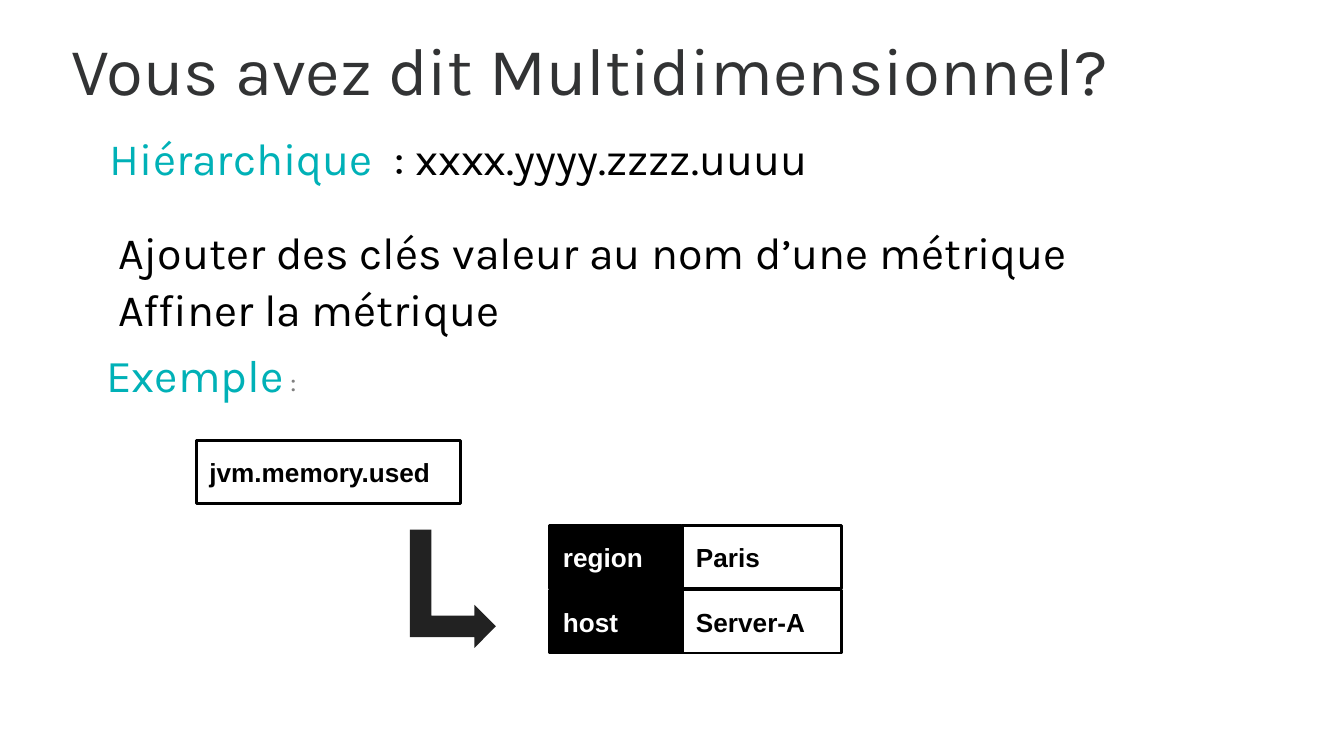
import dataclasses
import typing

import pptx
import pptx.dml.color
import pptx.enum.shapes
import pptx.enum.text
import pptx.slide
import pptx.util

Inches = pptx.util.Inches
Pt = pptx.util.Pt

COLORS = {
    "title": "323334",
    "accent": "00B1B7",
    "black": "000000",
    "white": "FFFFFF",
    "grey": "808080",
    "arrow": "222222",
}


@dataclasses.dataclass
class Run:
    text: str
    size: float
    color: str
    font: str = "Karla"
    bold: bool = False


@dataclasses.dataclass
class TextBlock:
    left: float
    top: float
    width: float
    height: float
    paragraphs: list[list[Run]]
    format: dict[str, typing.Any] = dataclasses.field(default_factory=dict)
    margin_left: float = 0


@dataclasses.dataclass
class Tile:
    text: str
    left: float
    top: float
    width: float
    fill: str
    color: str


def rgb(name: str) -> pptx.dml.color.RGBColor:
    return pptx.dml.color.RGBColor.from_string(COLORS[name])


def add_run(paragraph: typing.Any, item: Run) -> None:
    run = paragraph.add_run()
    run.text = item.text
    values = {"name": item.font, "size": Pt(item.size), "bold": item.bold}
    for name, value in values.items():
        setattr(run.font, name, value)
    run.font.color.rgb = rgb(item.color)


def add_text(slide: pptx.slide.Slide, block: TextBlock) -> None:
    shape = slide.shapes.add_textbox(
        Inches(block.left), Inches(block.top), Inches(block.width), Inches(block.height)
    )
    frame = shape.text_frame
    frame.word_wrap = True
    frame.margin_left = Inches(0.1 + block.margin_left)
    for index, runs in enumerate(block.paragraphs):
        paragraph = frame.add_paragraph() if index else frame.paragraphs[0]
        if index:
            paragraph.space_before = Pt(2)
        for name, value in block.format.items():
            setattr(paragraph, name, value)
        for item in runs:
            add_run(paragraph, item)


def add_tile(slide: pptx.slide.Slide, tile: Tile) -> None:
    shape = slide.shapes.add_shape(
        pptx.enum.shapes.MSO_SHAPE.RECTANGLE,
        Inches(tile.left), Inches(tile.top), Inches(tile.width), Inches(0.47),
    )
    shape.shadow.inherit = False
    shape.fill.solid()
    shape.fill.fore_color.rgb = rgb(tile.fill)
    shape.line.color.rgb = rgb("black")
    shape.line.width = Pt(1.5)
    frame = shape.text_frame
    frame_format = {
        "word_wrap": True,
        "vertical_anchor": pptx.enum.text.MSO_ANCHOR.MIDDLE,
        "margin_left": Inches(0.1),
        "margin_right": Inches(0.1),
        "margin_top": Inches(0.1),
        "margin_bottom": Inches(0.1),
    }
    for name, value in frame_format.items():
        setattr(frame, name, value)
    paragraph = frame.paragraphs[0]
    paragraph.alignment = pptx.enum.text.PP_ALIGN.LEFT
    add_run(paragraph, Run(tile.text, 14, tile.color, "Arial", True))


def add_arrow(slide: pptx.slide.Slide) -> None:
    arrow = slide.shapes.add_shape(
        pptx.enum.shapes.MSO_SHAPE.BENT_UP_ARROW,
        Inches(2.93), Inches(4.06), Inches(0.88), Inches(0.64),
    )
    arrow.rotation = 90
    arrow.shadow.inherit = False
    arrow.fill.solid()
    arrow.fill.fore_color.rgb = rgb("arrow")
    arrow.line.fill.background()


TEXT_BLOCKS = [
    # Title
    TextBlock(0.43, 0.16, 8.98, 0.54,
              [[Run("Vous avez dit Multidimensionnel?", 36, "title")]]),
    # Hierarchical naming
    TextBlock(0.64, 0.92, 7.32, 0.55,
              [[Run(" Hiérarchique", 24, "accent"),
                Run("  : xxxx.yyyy.zzzz.uuuu", 24, "black")]]),
    # What dimensions bring
    TextBlock(0.78, 1.62, 7.32, 0.55,
              [[Run("Ajouter des clés valeur au nom d’une métrique", 24, "black")],
               [Run("Affiner la métrique", 24, "black")]]),
    # Example heading
    TextBlock(0.35, 2.61, 2.6, 0.43,
              [[Run(" ", 15, "grey"), Run("Exemple", 24.4, "accent"),
                Run(" :", 15, "grey")]],
              {"line_spacing": 0.8}, 0.29),
]

TAGS = [("region", "Paris"), ("host", "Server-A")]
TAG_TOP, TAG_PITCH = 3.91, 0.48


def main() -> None:
    # Widescreen 16:9 page
    presentation = pptx.Presentation()
    presentation.slide_width = Inches(10)
    presentation.slide_height = Inches(10 * 9 / 16)
    slide = presentation.slides.add_slide(presentation.slide_layouts[6])

    for block in TEXT_BLOCKS:
        add_text(slide, block)

    # Metric name and its key/value tags
    add_tile(slide, Tile("jvm.memory.used", 1.46, 3.28, 1.97, "white", "black"))
    for row, (key, value) in enumerate(TAGS):
        top = TAG_TOP + row * TAG_PITCH
        add_tile(slide, Tile(key, 4.09, top, 0.98, "black", "white"))
        add_tile(slide, Tile(value, 5.08, top, 1.18, "white", "black"))
    add_arrow(slide)

    presentation.save("out.pptx")


if __name__ == "__main__":
    main()
